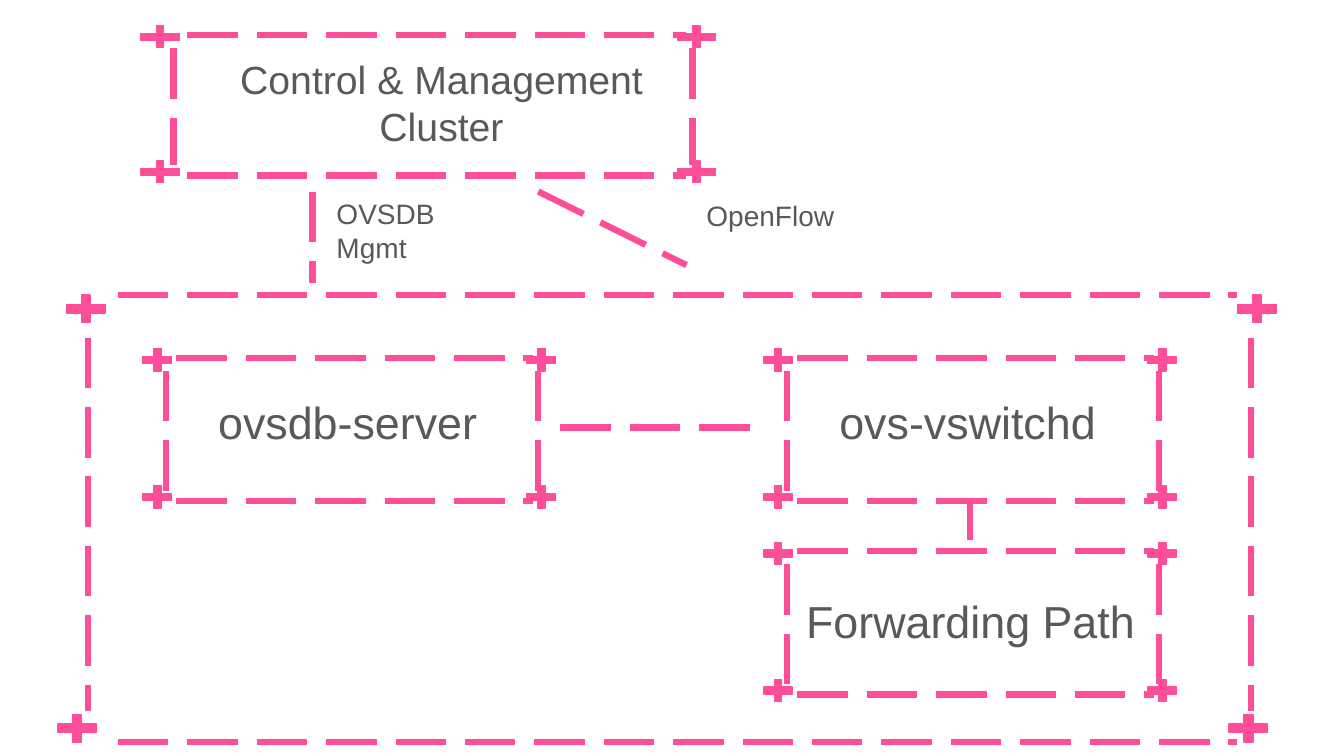
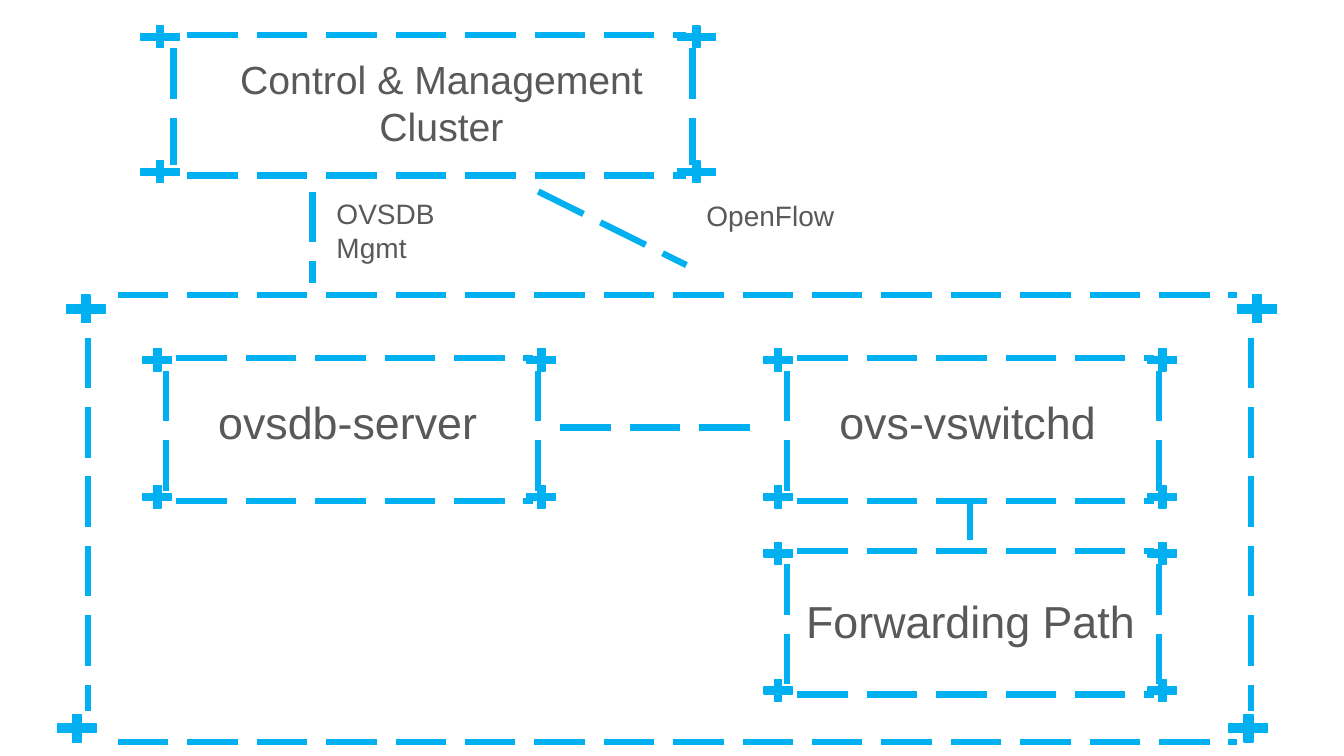
"""Draw the switch architecture diagram once per accent colour."""
from dataclasses import dataclass
from itertools import product
from typing import Any, NamedTuple

from lxml.etree import SubElement
from pptx import Presentation
from pptx.dml.color import RGBColor as RGB
from pptx.enum.dml import MSO_LINE as DASH
from pptx.enum.shapes import MSO_CONNECTOR as CONN, MSO_SHAPE as SHAPE
from pptx.enum.text import MSO_AUTO_SIZE as FIT, PP_ALIGN as ALIGN
from pptx.oxml.ns import qn
from pptx.slide import Slide
from pptx.util import Inches, Pt

COLS, ROWS = 133.33, 75
CELL = Inches(0.1)
Pair = tuple[float, float]


@dataclass(frozen=True)
class Theme:
    accents: tuple[RGB, ...] = (RGB(0xFF, 0x4E, 0x99), RGB(0x00, 0xB0, 0xF0))
    ink: RGB = RGB(0x59, 0x59, 0x57)
    font: str = "Arial"
    node: int = 32
    cluster: int = 28
    note: int = 20
    dash: float = 4.5
    edge: float = 1


class FrameStyle(NamedTuple):
    bar_x: Pair
    bar_y: Pair
    post_x: Pair
    post_y: Pair
    plus_x: Pair
    plus_y: Pair
    plus_size: Pair
    skew: float = 0


class Frame(NamedTuple):
    col: float
    row: float
    style: FrameStyle


class Label(NamedTuple):
    lines: tuple[str, ...]
    col: float
    row: float
    width: float
    height: float
    size: int
    align: Any = ALIGN.CENTER


class Link(NamedTuple):
    start: Pair
    end: Pair


T = Theme()

CLUSTER = FrameStyle((5.3, 54.8), (1.3, 15.2), (3.9, 55.4), (2.6, 14.2),
                     (0, 53.2), (0, 13.4), (5.2, 2.9))
NODE = FrameStyle((3.8, 39.2), (1.3, 15.5), (2.8, 39.7), (2.6, 14.5),
                  (0, 38.1), (0, 13.6), (3.8, 3))
HOST = FrameStyle((5.8, 116.8), (0.5, 44.8), (2.8, 118.2), (4.7, 41.7),
                  (0, 116.2), (0, 41.6), (5.2, 3.7), -0.85)

FRAMES = (
    Frame(13.3, 2.2, CLUSTER),
    Frame(13.7, 34.2, NODE),
    Frame(75.3, 34.2, NODE),
    Frame(75.3, 53.4, NODE),
    Frame(5.9, 28.8, HOST),
)
LABELS = (
    Label(("Control & Management Cluster",), 21.1, 5, 45.4, 10.4, T.cluster),
    Label(("ovsdb-server",), 19.5, 38.7, 30, 6.4, T.node),
    Label(("ovs-vswitchd",), 81, 38.7, 30, 6.4, T.node),
    Label(("Forwarding Path",), 78.1, 58.4, 36.4, 6.4, T.node),
    Label(("OVSDB", "Mgmt"), 32.4, 19, 30, 7.7, T.note, ALIGN.LEFT),
    Label(("OpenFlow",), 69.1, 19.2, 30, 4.4, T.note, ALIGN.LEFT),
)
LINKS = (
    Link((31, 19), (31, 28.1)),
    Link((53.4, 19), (68.1, 26.3)),
    Link((55.6, 42.4), (76, 42.4)),
    Link((96.2, 53.6), (96.2, 49.7)),
)


def grid(*cells: float) -> list[int]:
    return [round(c * CELL) for c in cells]


def apply(target: Any, values: dict[str, Any]) -> None:
    for name, value in values.items():
        setattr(target, name, value)


def draw_link(s: Slide, link: Link, accent: RGB) -> None:
    sp = s.shapes.add_connector(CONN.STRAIGHT, *grid(*link.start, *link.end))
    sp.line.color.rgb = accent
    apply(sp.line, {"width": Pt(T.dash), "dash_style": DASH.LONG_DASH})
    SubElement(sp.line._get_or_add_ln().getparent(), qn("a:effectLst"))


def draw_plus(s: Slide, col: float, row: float, size: Pair, accent: RGB) -> None:
    sp = s.shapes.add_shape(SHAPE.MATH_PLUS, *grid(col, row, *size))
    sp.shadow.inherit = False
    sp.fill.solid()
    sp.fill.fore_color.rgb = accent
    sp.line.color.rgb = accent
    sp.line.width = Pt(T.edge)


def draw_frame(s: Slide, frame: Frame, accent: RGB) -> None:
    col, row, st = frame
    bars = [((st.bar_x[0], y), (st.bar_x[1], y)) for y in st.bar_y]
    posts = [((x, st.post_y[0]), (x, st.post_y[1])) for x in st.post_x]
    for (x0, y0), (x1, y1) in bars + posts:
        draw_link(s, Link((col + x0, row + y0), (col + x1, row + y1)), accent)
    for x, y in product(st.plus_x, st.plus_y):
        shift = st.skew if y else 0
        draw_plus(s, col + x + shift, row + y, st.plus_size, accent)


def draw_label(s: Slide, label: Label) -> None:
    box = grid(label.col, label.row, label.width, label.height)
    tf = s.shapes.add_textbox(*box).text_frame
    apply(tf, {"word_wrap": True, "auto_size": FIT.SHAPE_TO_FIT_TEXT})
    for i, text in enumerate(label.lines):
        p = tf.add_paragraph() if i else tf.paragraphs[0]
        p.alignment = label.align
        r = p.add_run()
        r.text = text
        apply(r.font, {"name": T.font, "size": Pt(label.size)})
        r.font.color.rgb = T.ink


def draw_diagram(s: Slide, accent: RGB) -> None:
    for frame in FRAMES:
        draw_frame(s, frame, accent)
    for link in LINKS:
        draw_link(s, link, accent)
    for label in LABELS:
        draw_label(s, label)


def main() -> None:
    prs = Presentation()
    prs.slide_width, prs.slide_height = grid(COLS, ROWS)
    for accent in T.accents:
        draw_diagram(prs.slides.add_slide(prs.slide_layouts[6]), accent)
    prs.save("out.pptx")


if __name__ == "__main__":
    main()
